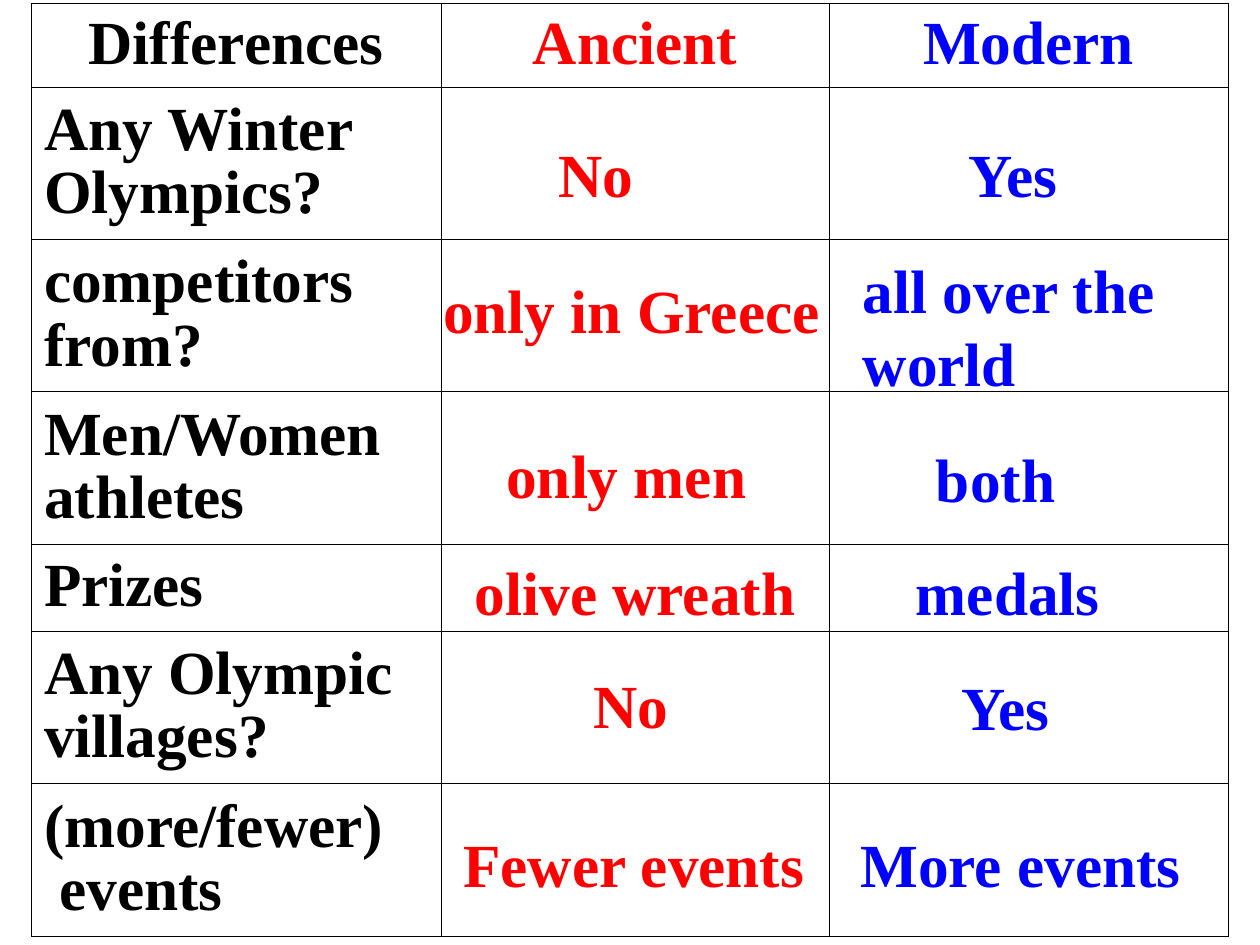
from dataclasses import dataclass

import pptx
import pptx.dml.color
import pptx.enum.text
import pptx.oxml
import pptx.oxml.ns
import pptx.util

EMU_PER_PX = 9144  # 100 px to the inch
ALIGN = pptx.enum.text.PP_ALIGN


@dataclass(frozen=True)
class Theme:
    font: str = "Times New Roman"
    size: int = 35
    label: str = "000000"
    ancient: str = "FF0000"
    modern: str = "0000FF"
    border: str = "000000"
    border_width: float = 0.45
    label_spacing: float = 0.93


THEME = Theme()


def px(*lengths):
    return [pptx.util.Emu(length * EMU_PER_PX) for length in lengths]


def write(para, text, color, align):
    para.alignment = align
    span = para.add_run()
    span.text = text
    span.font.name = THEME.font
    span.font.size = pptx.util.Pt(THEME.size)
    span.font.bold = True
    span.font.color.rgb = pptx.dml.color.RGBColor.from_string(color)


deck = pptx.Presentation()
deck.slide_width, deck.slide_height = px(1000, 750)
page = deck.slides.add_slide(deck.slide_layouts[6])

# Comparison table: headings across the top, questions down the left
column_widths = [325, 308, 317]
row_heights = [66, 121, 121, 121, 69, 121, 121]
headings = [
    ("Differences", THEME.label),
    ("Ancient", THEME.ancient),
    ("Modern", THEME.modern),
]
questions = [
    ["Any Winter Olympics?"],
    ["competitors from?"],
    ["Men/Women athletes"],
    ["Prizes"],
    ["Any Olympic villages?"],
    ["(more/fewer)", " events"],
]

table = page.shapes.add_table(
    len(row_heights), len(column_widths),
    *px(25, 3, sum(column_widths), sum(row_heights)),
).table
table.first_row = False
table.horz_banding = False
for column, width in zip(table.columns, px(*column_widths)):
    column.width = width
for row, height in zip(table.rows, px(*row_heights)):
    row.height = height

for cell in table.iter_cells():
    cell.vertical_anchor = pptx.enum.text.MSO_ANCHOR.MIDDLE
    properties = cell._tc.get_or_add_tcPr()
    for side in ("lnL", "lnR", "lnT", "lnB"):
        properties.append(pptx.oxml.parse_xml(
            f'<a:{side} {pptx.oxml.ns.nsdecls("a")} '
            f'w="{pptx.util.Pt(THEME.border_width)}"><a:solidFill>'
            f'<a:srgbClr val="{THEME.border}"/></a:solidFill></a:{side}>'
        ))
    cell.fill.background()

for column_index, (heading, color) in enumerate(headings):
    para = table.cell(0, column_index).text_frame.paragraphs[0]
    para.line_spacing = THEME.label_spacing
    write(para, heading, color, ALIGN.CENTER)

for row_index, lines in enumerate(questions, start=1):
    frame = table.cell(row_index, 0).text_frame
    for line_index, line in enumerate(lines):
        para = frame.add_paragraph() if line_index else frame.paragraphs[0]
        para.line_spacing = THEME.label_spacing
        write(para, line, THEME.label, ALIGN.LEFT)

# Answers laid over the table: text, colour, place, alignment, wrap
answers = [
    ("Yes", THEME.modern, (683, 103, 242, 66), ALIGN.CENTER, True),
    ("No ", THEME.ancient, (358, 103, 242, 66), ALIGN.CENTER, True),
    ("all over the world", THEME.modern, (675, 195, 267, 121), ALIGN.LEFT, True),
    ("only in Greece", THEME.ancient, (342, 211, 350, 66), ALIGN.LEFT, True),
    ("both", THEME.modern, (733, 345, 242, 66), ALIGN.LEFT, True),
    ("only men", THEME.ancient, (392, 342, 242, 66), ALIGN.LEFT, True),
    ("olive wreath", THEME.ancient, (367, 435, 292, 66), ALIGN.LEFT, True),
    ("medals", THEME.modern, (717, 435, 192, 66), ALIGN.LEFT, True),
    ("Yes", THEME.modern, (753, 526, 108, 66), ALIGN.LEFT, False),
    ("No", THEME.ancient, (461, 525, 91, 66), ALIGN.LEFT, False),
    ("More events", THEME.modern, (673, 651, 275, 66), ALIGN.LEFT, False),
    ("Fewer events", THEME.ancient, (358, 651, 291, 66), ALIGN.LEFT, False),
]
for text, color, place, align, wrap in answers:
    box = page.shapes.add_textbox(*px(*place))
    box.text_frame.word_wrap = wrap
    box.text_frame.auto_size = pptx.enum.text.MSO_AUTO_SIZE.SHAPE_TO_FIT_TEXT
    write(box.text_frame.paragraphs[0], text, color, align)

deck.save("out.pptx")
